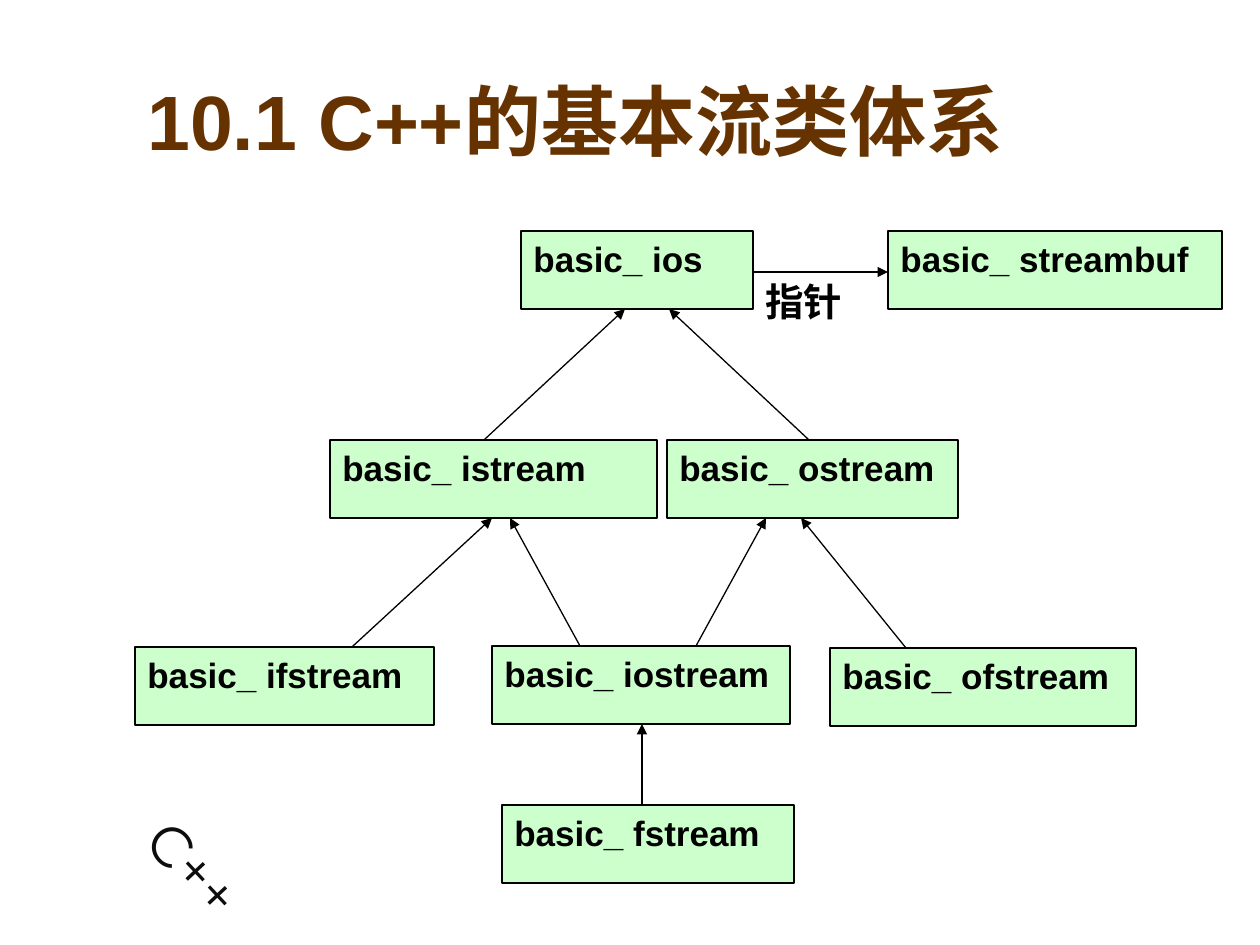
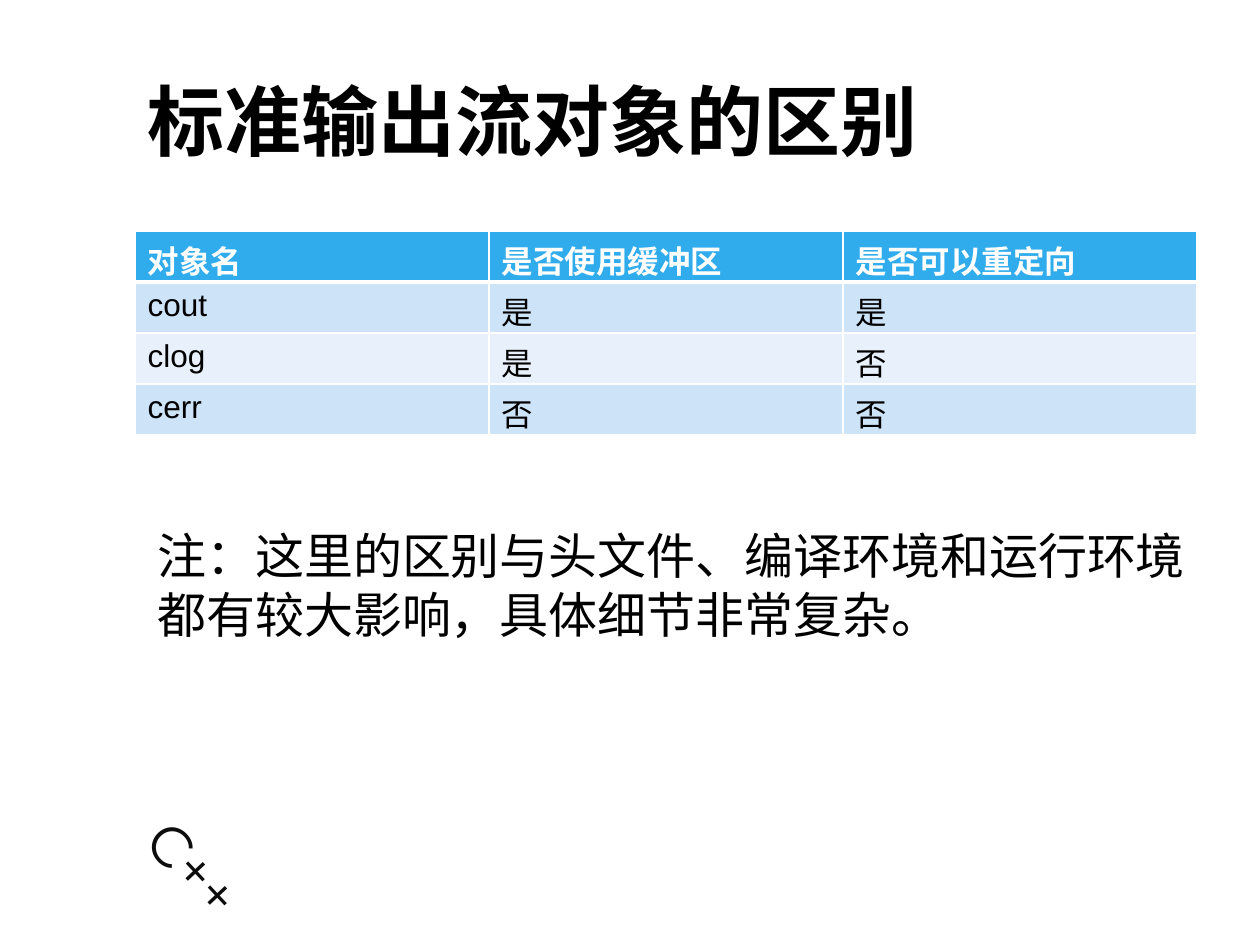
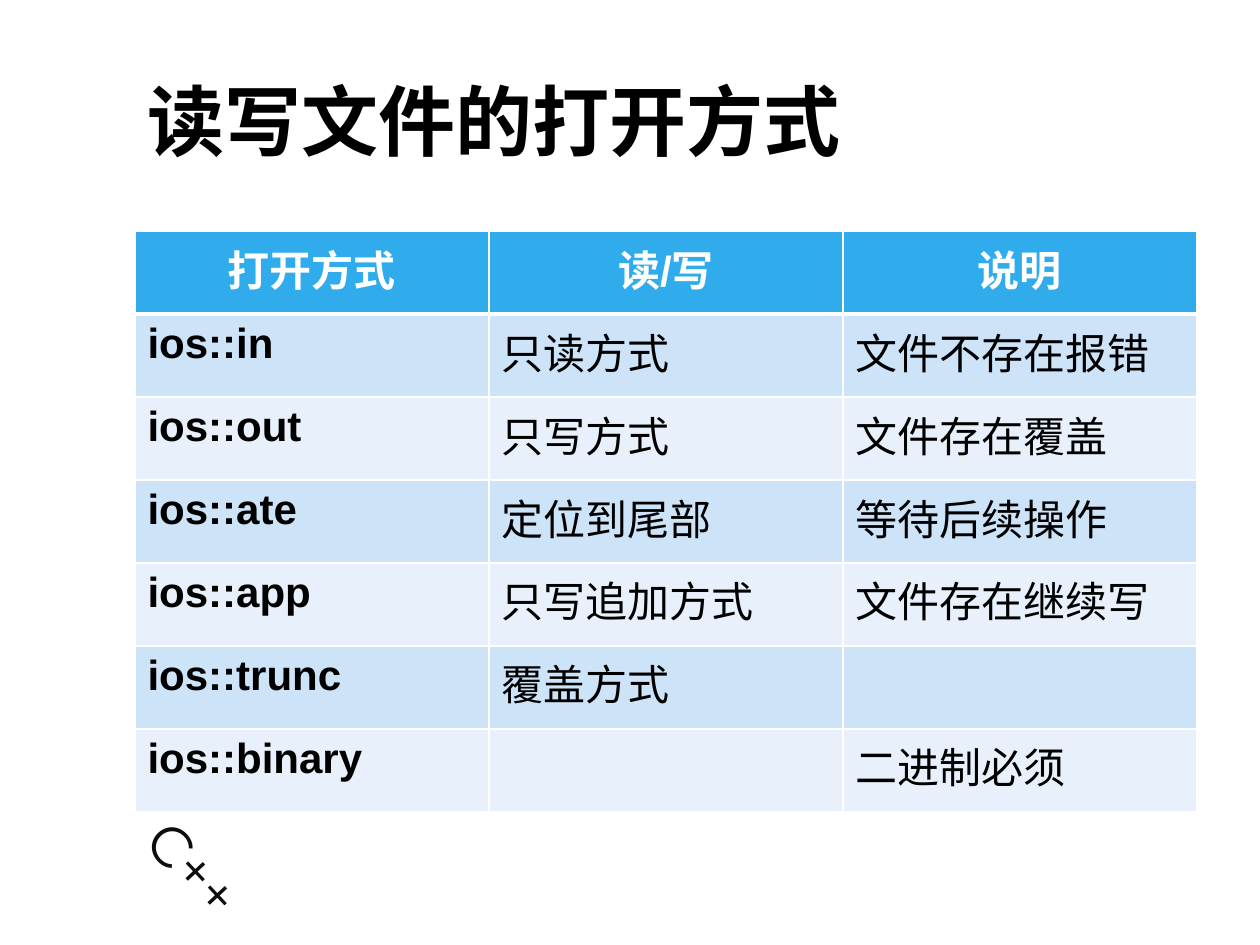
from pptx import Presentation
from pptx.dml.color import RGBColor
from pptx.enum.shapes import MSO_CONNECTOR, MSO_SHAPE
from pptx.enum.text import MSO_ANCHOR, PP_ALIGN
from pptx.oxml.ns import qn
from pptx.util import Emu, Pt
from lxml.etree import SubElement

BLACK = RGBColor(0x00, 0x00, 0x00)
WHITE = RGBColor(0xFF, 0xFF, 0xFF)
BROWN = RGBColor(0x66, 0x33, 0x00)
INK = RGBColor(0x0D, 0x0D, 0x0D)
GREEN = RGBColor(0xCC, 0xFF, 0xCC)
HEADER_BLUE = RGBColor(0x30, 0xAC, 0xEC)
BANDS = (RGBColor(0xCD, 0xE3, 0xF8), RGBColor(0xE8, 0xF1, 0xFB))

PX_PER_INCH = 126
SLIDE_SIZE = (1260, 945)
TITLE_BOX = (135, 37, 1062, 166)
CORNER_BOX = (118, 854, 203, 81)
CORNER_TURN = 46.9
TABLE_LEFT, TABLE_TOP, COLUMN_WIDTH = 135, 231, 354
CLASS_HEIGHT = 78

HIERARCHY_TITLE = "10.1 C++的基本流类体系"
# class: (left, top, width)
CLASSES = {
    "ios": (521, 231, 232),
    "streambuf": (888, 231, 334),
    "istream": (330, 440, 327),
    "ostream": (667, 440, 291),
    "ifstream": (135, 647, 299),
    "iostream": (492, 646, 298),
    "ofstream": (830, 648, 306),
    "fstream": (502, 805, 292),
}
# derived class, x where the arrow leaves it, base class, x where it arrives
INHERITANCE = [
    ("istream", 484, "ios", 625),
    ("ostream", 809, "ios", 669),
    ("ifstream", 352, "istream", 492),
    ("iostream", 580, "istream", 510),
    ("iostream", 696, "ostream", 766),
    ("ofstream", 906, "ostream", 801),
    ("fstream", 642, "iostream", 642),
]
POINTER_LABEL = "指针"
POINTER_Y = 272

OUTPUT_TITLE = "标准输出流对象的区别"
OUTPUT_ROWS = [
    ("对象名", "是否使用缓冲区", "是否可以重定向"),
    ("cout", "是", "是"),
    ("clog", "是", "否"),
    ("cerr", "否", "否"),
]
OUTPUT_NOTE = "注：这里的区别与头文件、编译环境和运行环境都有较大影响，具体细节非常复杂。"
NOTE_BOX = (145, 519, 1063, 131)

MODES_TITLE = "读写文件的打开方式"
MODES_ROWS = [
    ("打开方式", "读/写", "说明"),
    ("ios::in", "只读方式", "文件不存在报错"),
    ("ios::out", "只写方式", "文件存在覆盖"),
    ("ios::ate", "定位到尾部", "等待后续操作"),
    ("ios::app", "只写追加方式", "文件存在继续写"),
    ("ios::trunc", "覆盖方式", ""),
    ("ios::binary", "", "二进制必须"),
]


def px(*lengths):
    return [Emu(round(length * 914400 / PX_PER_INCH)) for length in lengths]


def write(frame, text, size, color=BLACK, bold=False, font="Arial", align=PP_ALIGN.LEFT):
    frame.text = text
    frame.word_wrap = True
    paragraph = frame.paragraphs[0]
    paragraph.alignment = align
    for run in paragraph.runs:
        run.font.name = font
        run.font.size = Pt(size)
        run.font.bold = bold
        run.font.color.rgb = color


def add_text(slide, box, text, size, **style):
    label = slide.shapes.add_textbox(*px(*box))
    write(label.text_frame, text, size, **style)
    return label


def start_slide(deck, title, color=BLACK):
    """Add a slide with the corner mark and the title."""
    slide = deck.slides.add_slide(deck.slide_layouts[6])
    corner = add_text(slide, CORNER_BOX, "C++", 32, color=INK, font="Montserrat")
    corner.rotation = CORNER_TURN
    heading = add_text(slide, TITLE_BOX, title, 44, color=color, bold=True)
    heading.text_frame.vertical_anchor = MSO_ANCHOR.MIDDLE
    return slide


def add_class(slide, name, left, top, width):
    box = slide.shapes.add_shape(MSO_SHAPE.RECTANGLE, *px(left, top, width, CLASS_HEIGHT))
    box.shadow.inherit = False
    box.fill.solid()
    box.fill.fore_color.rgb = GREEN
    box.line.color.rgb = BLACK
    box.line.width = Pt(0.75)
    box.text_frame.vertical_anchor = MSO_ANCHOR.TOP
    write(box.text_frame, f"basic_ {name}", 20, bold=True, align=PP_ALIGN.JUSTIFY)


def add_arrow(slide, *ends):
    arrow = slide.shapes.add_connector(MSO_CONNECTOR.STRAIGHT, *px(*ends))
    arrow.line.color.rgb = BLACK
    arrow.line.width = Pt(0.75)
    SubElement(arrow.line._get_or_add_ln(), qn("a:tailEnd"), type="triangle")
    SubElement(arrow._element.spPr, qn("a:effectLst"))


def set_borders(cell, **widths):
    """Draw white cell borders; widths are points keyed by L, R, T and B."""
    properties = cell._tc.get_or_add_tcPr()
    for position, side in enumerate("LRTB"):
        width = Pt(widths.get(side, 1))
        border = properties.makeelement(qn(f"a:ln{side}"), {"w": str(width)})
        fill = SubElement(border, qn("a:solidFill"))
        SubElement(fill, qn("a:srgbClr"), val=str(WHITE))
        properties.insert(position, border)


def add_grid(slide, rows, row_height, size, header_align=PP_ALIGN.LEFT, bold_names=False):
    columns = len(rows[0])
    area = px(TABLE_LEFT, TABLE_TOP, COLUMN_WIDTH * columns, row_height * len(rows))
    table = slide.shapes.add_table(len(rows), columns, *area).table
    for r, row in enumerate(rows):
        header = r == 0
        for c, text in enumerate(row):
            cell = table.cell(r, c)
            cell.fill.solid()
            cell.fill.fore_color.rgb = HEADER_BLUE if header else BANDS[(r - 1) % 2]
            write(cell.text_frame, text, size,
                  color=WHITE if header else BLACK,
                  bold=header or (bold_names and c == 0),
                  align=header_align if header else PP_ALIGN.LEFT)
            set_borders(cell, B=3 if header else 1, T=3 if r == 1 else 1)


def build_hierarchy(deck):
    slide = start_slide(deck, HIERARCHY_TITLE, BROWN)
    for name, place in CLASSES.items():
        add_class(slide, name, *place)
    for derived, start_x, base, end_x in INHERITANCE:
        add_arrow(slide, start_x, CLASSES[derived][1],
                  end_x, CLASSES[base][1] + CLASS_HEIGHT)
    ios_left, _, ios_width = CLASSES["ios"]
    ios_right, buffer_left = ios_left + ios_width, CLASSES["streambuf"][0]
    add_arrow(slide, ios_right, POINTER_Y, buffer_left, POINTER_Y)
    add_text(slide, (ios_right, POINTER_Y, buffer_left - ios_right, CLASS_HEIGHT),
             POINTER_LABEL, 22, bold=True, align=PP_ALIGN.JUSTIFY)


def build_output_objects(deck):
    slide = start_slide(deck, OUTPUT_TITLE)
    add_grid(slide, OUTPUT_ROWS, 51, 18)
    add_text(slide, NOTE_BOX, OUTPUT_NOTE, 28)


def build_open_modes(deck):
    slide = start_slide(deck, MODES_TITLE)
    add_grid(slide, MODES_ROWS, 83, 24, PP_ALIGN.CENTER, bold_names=True)


def main():
    deck = Presentation()
    deck.slide_width, deck.slide_height = px(*SLIDE_SIZE)
    build_hierarchy(deck)
    build_output_objects(deck)
    build_open_modes(deck)
    deck.save("out.pptx")


if __name__ == "__main__":
    main()
